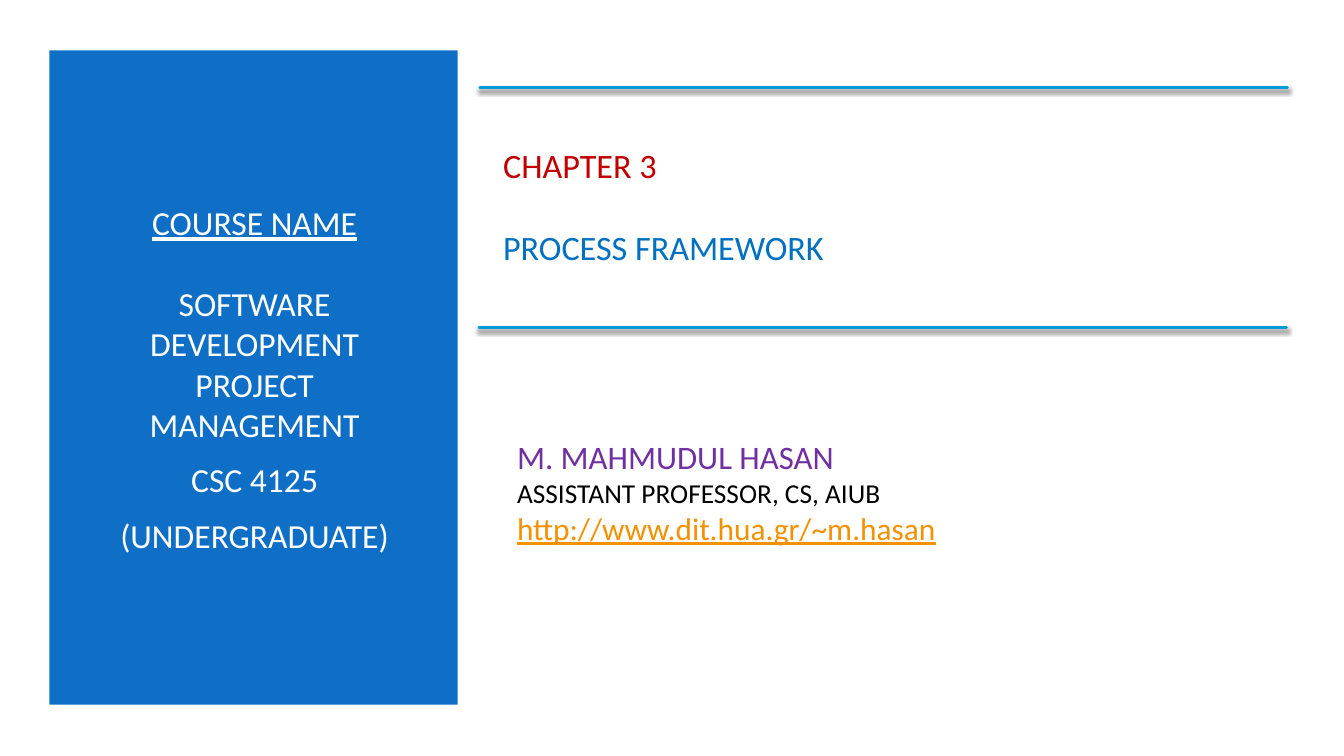
from lxml.etree import SubElement
from pptx import Presentation
from pptx.dml.color import RGBColor
from pptx.enum.shapes import MSO_CONNECTOR, MSO_SHAPE
from pptx.enum.text import MSO_ANCHOR, MSO_AUTO_SIZE, PP_ALIGN
from pptx.oxml.ns import qn
from pptx.util import Inches, Pt

WHITE = RGBColor(0xFF, 0xFF, 0xFF)
BLACK = RGBColor(0x00, 0x00, 0x00)
PANEL_BLUE = RGBColor(0x0F, 0x6F, 0xC6)
RULE_BLUE = RGBColor(0x00, 0x9D, 0xD9)
TITLE_BLUE = RGBColor(0x00, 0x70, 0xC0)
RED = RGBColor(0xC0, 0x00, 0x00)
PURPLE = RGBColor(0x70, 0x30, 0xA0)
ORANGE = RGBColor(0xF4, 0x91, 0x00)
FONT = "Calibri"

# Each line: text, size, colour, underlined, space before in points
COURSE = [
    ("COURSE NAME", 24, WHITE, True, 0),
    ("SOFTWARE DEVELOPMENT PROJECT MANAGEMENT", 24, WHITE, False, 29),
    ("CSC 4125", 24, WHITE, False, 10.8),
    ("(UNDERGRADUATE)", 24, WHITE, False, 10.8),
]
CHAPTER = [
    ("CHAPTER 3", 24.4, RED, False, 0),
    ("PROCESS FRAMEWORK", 24.4, TITLE_BLUE, False, 29),
]
AUTHOR = [
    ("M. MAHMUDUL HASAN", 23.4, PURPLE, False, 0),
    ("ASSISTANT PROFESSOR, CS, AIUB", 19.5, BLACK, False, 0),
    ("http://www.dit.hua.gr/~m.hasan", 22.4, ORANGE, True, 0),
]
PANEL = (0.49, 0.5, 4.05, 6.49)
COURSE_BOX = (0.84, 1.13, 3.37, 5.25)
CHAPTER_BOX = (4.89, 1.12, 7.85, 1.84)
AUTHOR_BOX = (5.03, 4.1, 6.66, 1.56)
RULE_STARTS = [(4.76, 0.87), (4.75, 3.25)]
RULE_LENGTH = 8.01


def place(shape, box):
    shape.left, shape.top, shape.width, shape.height = map(Inches, box)


def fill_text(shape, box, lines, anchor, alignment):
    place(shape, box)
    frame = shape.text_frame
    frame.word_wrap = True
    frame.auto_size = MSO_AUTO_SIZE.NONE
    frame.vertical_anchor = anchor
    for index, (text, size, color, underlined, space) in enumerate(lines):
        paragraph = frame.add_paragraph() if index else frame.paragraphs[0]
        paragraph.alignment = alignment
        paragraph.space_before = Pt(space)
        paragraph.space_after = Pt(0)
        run = paragraph.add_run()
        run.text = text
        run.font.name = FONT
        run.font.size = Pt(size)
        run.font.color.rgb = color
        run.font.underline = underlined


def add_rule(slide, left, top):
    rule = slide.shapes.add_connector(
        MSO_CONNECTOR.STRAIGHT, Inches(left), Inches(top),
        Inches(left + RULE_LENGTH), Inches(top))
    rule.line.color.rgb = RULE_BLUE
    rule.line.width = Pt(2)
    properties = rule._element.spPr
    properties.find(qn("a:ln")).set("cap", "rnd")
    effects = SubElement(properties, qn("a:effectLst"))
    shadow = SubElement(effects, qn("a:outerShdw"), blurRad=str(Pt(3)),
                        dist=str(Pt(2)), dir="5400000", rotWithShape="0")
    color = SubElement(shadow, qn("a:srgbClr"), val=str(BLACK))
    SubElement(color, qn("a:alpha"), val="55000")


def main():
    presentation = Presentation()
    presentation.slide_width = Inches(13.33)
    presentation.slide_height = Inches(7.5)
    slide = presentation.slides.add_slide(presentation.slide_layouts[0])

    panel = slide.shapes.add_shape(MSO_SHAPE.RECTANGLE, *map(Inches, PANEL))
    panel.shadow.inherit = False
    panel.fill.solid()
    panel.fill.fore_color.rgb = PANEL_BLUE
    panel.line.fill.background()
    # The panel lies behind the placeholders
    slide.shapes.title._element.addprevious(panel._element)

    fill_text(slide.placeholders[1], COURSE_BOX, COURSE,
              MSO_ANCHOR.MIDDLE, PP_ALIGN.CENTER)
    fill_text(slide.shapes.title, CHAPTER_BOX, CHAPTER,
              MSO_ANCHOR.MIDDLE, PP_ALIGN.LEFT)
    author = slide.shapes.add_textbox(*map(Inches, AUTHOR_BOX))
    fill_text(author, AUTHOR_BOX, AUTHOR, MSO_ANCHOR.MIDDLE, PP_ALIGN.LEFT)

    for left, top in RULE_STARTS:
        add_rule(slide, left, top)
    presentation.save("out.pptx")


if __name__ == "__main__":
    main()
